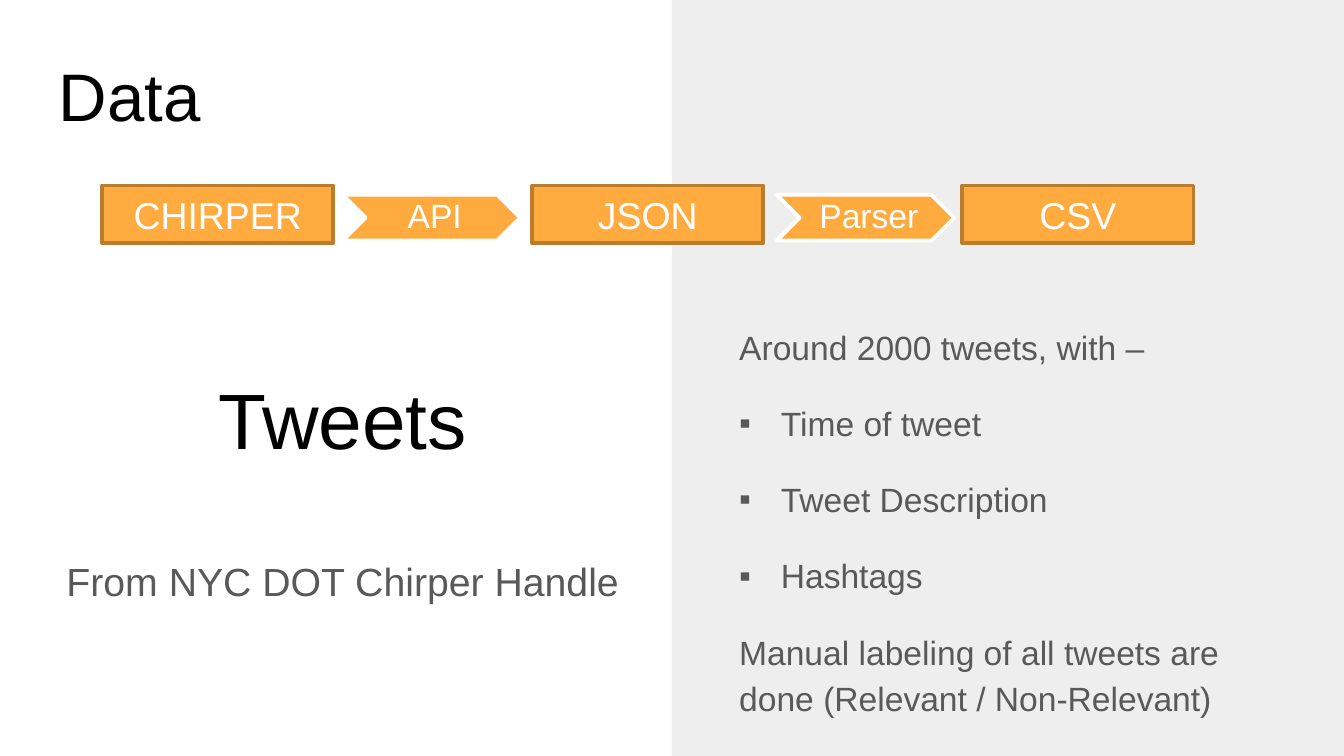
from dataclasses import dataclass
from lxml.etree import SubElement
from pptx import Presentation
from pptx.dml.color import RGBColor
from pptx.enum.shapes import MSO_SHAPE as Preset
from pptx.enum.text import MSO_ANCHOR as Anchor, MSO_AUTO_SIZE as AutoSize, PP_ALIGN as Align
from pptx.oxml.ns import qn
from pptx.util import Inches, Pt

WHITE = RGBColor(0xFF, 0xFF, 0xFF)
BLACK = RGBColor(0x00, 0x00, 0x00)
GRAY = RGBColor(0x59, 0x59, 0x59)
PANEL = RGBColor(0xEE, 0xEE, 0xEE)
ORANGE = RGBColor(0xFF, 0xAB, 0x40)
ARROW_ORANGE = RGBColor(0xFF, 0xAA, 0x3F)
BROWN = RGBColor(0xBA, 0x7C, 0x2E)
FONT = "Arial"
SLIDE_WIDTH = Inches(10)
SLIDE_HEIGHT = Inches(10 * 9 / 16)


@dataclass(frozen=True)
class Style:
    preset: Preset
    top: float
    width: float
    height: float
    fill: RGBColor
    line: RGBColor
    size: int
    margins: tuple[float, float, float, float]
    spacing: float


@dataclass(frozen=True)
class Step:
    text: str
    left: float
    style: Style


BOX = Style(Preset.RECTANGLE, 1.38, 1.72, 0.43, ORANGE, BROWN, 20, (0.1, 0.05, 0.1, 0.05), 1.0)
ARROW = Style(Preset.CHEVRON, 1.45, 1.32, 0.34, ARROW_ORANGE, WHITE, 18,
              (0.08, 0.03, 0.03, 0.03), 0.9)

STEPS = [
    Step("API", 2.55, ARROW),
    Step("CHIRPER", 0.76, BOX),
    Step("JSON", 3.96, BOX),
    Step("Parser", 5.78, ARROW),
    Step("CSV", 7.16, BOX),
]
FIELDS = ["Time of tweet", "Tweet Description", "Hashtags"]


def place(shape, left: float, top: float, width: float, height: float) -> None:
    shape.left, shape.top = Inches(left), Inches(top)
    shape.width, shape.height = Inches(width), Inches(height)


def set_bullet(paragraph, bullet: str | None, color: RGBColor) -> None:
    properties = paragraph._p.get_or_add_pPr()
    indent = Inches(0.31) if bullet else 0
    properties.set("marL", str(indent))
    properties.set("indent", str(-indent))
    if bullet:
        bullet_color = SubElement(properties, qn("a:buClr"))
        SubElement(bullet_color, qn("a:srgbClr"), val=str(color))
        SubElement(properties, qn("a:buFont"), typeface=FONT)
        SubElement(properties, qn("a:buChar"), char=bullet)
    else:
        SubElement(properties, qn("a:buNone"))


def add_text(paragraph, text: str, *, size: float, color: RGBColor, align: Align = Align.LEFT,
             spacing: float = 1.0, before: float = 0, bullet: str | None = None) -> None:
    paragraph.alignment = align
    paragraph.line_spacing = spacing
    paragraph.space_before = Pt(before)
    set_bullet(paragraph, bullet, color)
    run = paragraph.add_run()
    run.text = text
    run.font.name = FONT
    run.font.size = Pt(size)
    run.font.color.rgb = color


def set_frame(shape, anchor: Anchor,
              margins: tuple[float, float, float, float] = (0.1, 0.1, 0.1, 0.1)):
    frame = shape.text_frame
    frame.word_wrap = True
    frame.auto_size = AutoSize.NONE
    frame.vertical_anchor = anchor
    (frame.margin_left, frame.margin_top,
     frame.margin_right, frame.margin_bottom) = map(Inches, margins)
    return frame


def add_step(slide, step: Step) -> None:
    style = step.style
    shape = slide.shapes.add_shape(style.preset, Inches(step.left), Inches(style.top),
                                   Inches(style.width), Inches(style.height))
    shape.shadow.inherit = False
    shape.fill.solid()
    shape.fill.fore_color.rgb = style.fill
    shape.line.color.rgb = style.line
    shape.line.width = Pt(2)
    frame = set_frame(shape, Anchor.MIDDLE, style.margins)
    add_text(frame.paragraphs[0], step.text, size=style.size, color=WHITE,
             align=Align.CENTER, spacing=style.spacing)


def main() -> None:
    presentation = Presentation()
    presentation.slide_width, presentation.slide_height = SLIDE_WIDTH, SLIDE_HEIGHT
    slide = presentation.slides.add_slide(presentation.slide_layouts.get_by_name("Two Content"))
    title, subtitle, body = slide.placeholders

    # Right-hand panel, behind everything else
    panel = slide.shapes.add_shape(Preset.RECTANGLE, Inches(5), 0, Inches(5), SLIDE_HEIGHT)
    panel.shadow.inherit = False
    panel.fill.solid()
    panel.fill.fore_color.rgb = PANEL
    panel.line.fill.background()
    title._element.addprevious(panel._element)

    # Left half: title and subtitle
    place(title, 0.34, 1.94, 4.42, 1.62)
    add_text(set_frame(title, Anchor.BOTTOM).paragraphs[0], "Tweets",
             size=42, color=BLACK, align=Align.CENTER)
    place(subtitle, 0.34, 4.05, 4.42, 1.35)
    add_text(set_frame(subtitle, Anchor.TOP).paragraphs[0], "From NYC DOT Chirper Handle",
             size=21, color=GRAY, align=Align.CENTER)

    # Right half: what the data holds
    place(body, 5.4, 2.33, 4.2, 3.07)
    frame = set_frame(body, Anchor.MIDDLE)
    body_format = dict(size=18, color=GRAY, spacing=1.15)
    add_text(frame.paragraphs[0], "Around 2000 tweets, with –", **body_format)
    for field in FIELDS:
        add_text(frame.add_paragraph(), field, before=16, bullet="▪", **body_format)
    add_text(frame.add_paragraph(),
             "Manual labeling of all tweets are done (Relevant / Non-Relevant)",
             before=16, **body_format)

    # Heading
    heading = slide.shapes.add_textbox(Inches(0.34), Inches(0.24), Inches(9.32), Inches(0.92))
    add_text(set_frame(heading, Anchor.MIDDLE).paragraphs[0], "Data", size=36, color=BLACK)

    # Processing chain
    for step in STEPS:
        add_step(slide, step)

    presentation.save("out.pptx")


if __name__ == "__main__":
    main()
